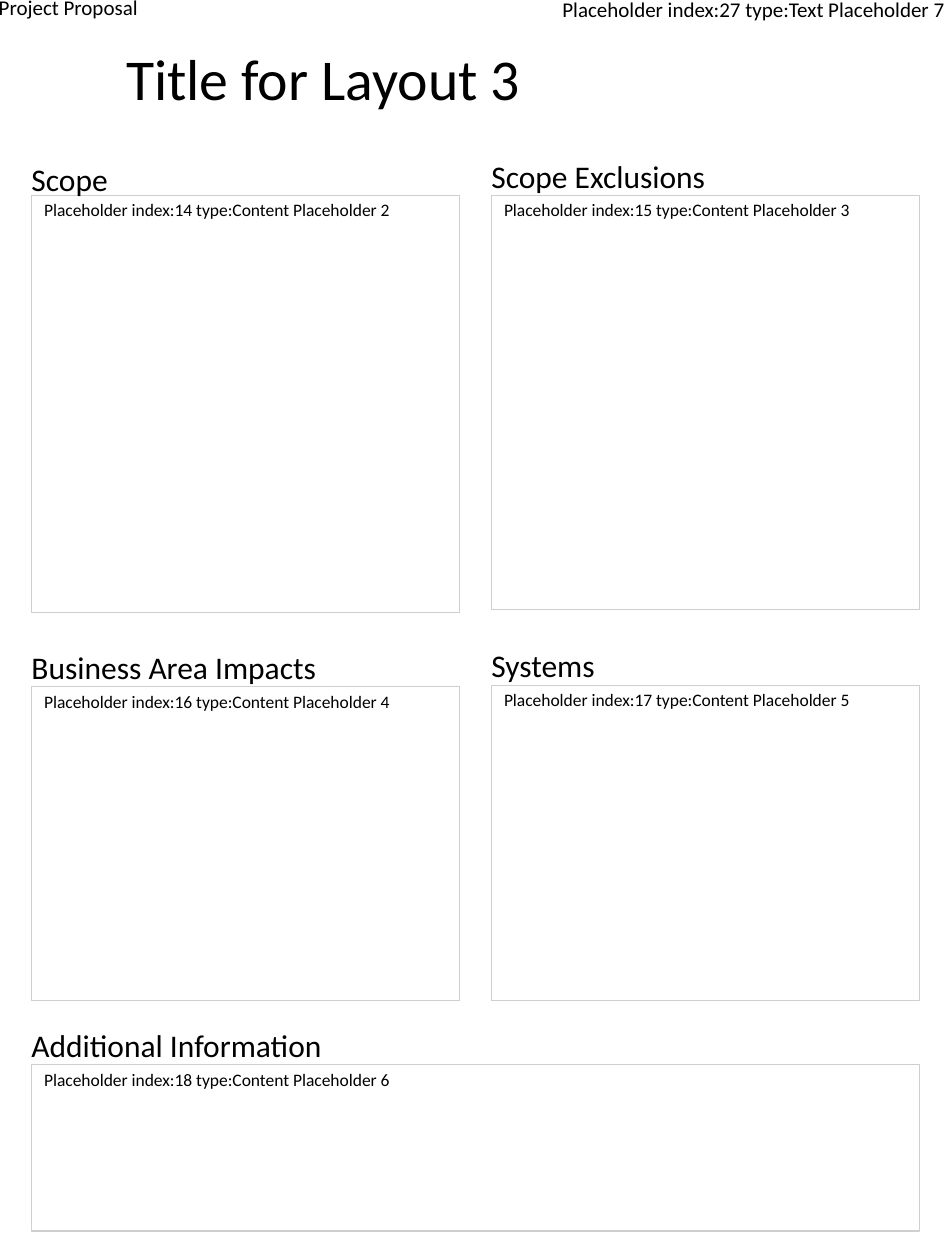
from copy import deepcopy as dup
from pptx import Presentation as Deck
from pptx.dml.color import RGBColor as Rgb
from pptx.enum.text import MSO_ANCHOR as Anc, MSO_AUTO_SIZE as Fit, PP_ALIGN as Al
from pptx.util import Inches as In, Pt

INK = Rgb(0x00, 0x00, 0x00)
EDGE = Rgb(0xD0, 0xCE, 0xCE)
LEFT, STEP, GAP = 0.25, 3.65, 0.25
HEAD = 0.3
PANES = [
    (14, "Scope", 0, 1, 1.27, 1.55, 3.31, True),
    (15, "Scope Exclusions", 1, 1, 1.25, 1.55, 3.29, False),
    (16, "Business Area Impacts", 0, 1, 5.14, 5.45, 2.49, True),
    (17, "Systems", 1, 1, 5.13, 5.44, 2.5, False),
    (18, "Additional Information", 0, 2, 8.14, 8.45, 1.32, True),
]
NOTE = 27


def apply(item, vals):
    for key, val in vals.items():
        setattr(item, key, val)


def place(item, box):
    apply(item, dict(zip(("left", "top", "width", "height"), map(In, box))))


def write(item, text, size, frame=None, para=None, inset=(0, 0, 0, 0)):
    body = item.text_frame
    body.text = text
    sides = ("margin_left", "margin_top", "margin_right", "margin_bottom")
    apply(body, dict(zip(sides, map(In, inset))))
    apply(body, {"word_wrap": True, "auto_size": Fit.NONE,
                 "vertical_anchor": Anc.TOP, **(frame or {})})
    line = body.paragraphs[0]
    apply(line, {"alignment": Al.LEFT, **(para or {})})
    font = line.runs[0].font
    apply(font, {"name": "Calibri", "size": Pt(size)})
    font.color.rgb = INK


def label(slide, box, text, size, frame=None):
    item = slide.shapes.add_textbox(0, 0, 0, 0)
    place(item, box)
    write(item, text, size, frame)


def plain(item):
    props = item.text_frame.paragraphs[0]._p.get_or_add_pPr()
    apply_xml = {"marL": "0", "indent": "0"}
    for key, val in apply_xml.items():
        props.set(key, val)
    props.append(props.makeelement(
        "{http://schemas.openxmlformats.org/drawingml/2006/main}buNone", {}))


def body(item, box, text, size, **kw):
    place(item, box)
    para = {"line_spacing": 0.9, "space_before": Pt(7.5), **kw.pop("para", {})}
    write(item, text, size, para=para, **kw)
    plain(item)


def pane(slide, slot, box, num, text):
    body(slot, box, text, 10, inset=(0.1, 0.05, 0.1, 0.05))
    slot.line.color.rgb = EDGE
    slot.line.width = Pt(0.75)


def header(slide, slot, box):
    left, top, wide, tall = box
    label(slide, (left - 0.01, top - 0.04, 3.4, 0.2), "Project Proposal", 12,
          {"auto_size": Fit.SHAPE_TO_FIT_TEXT})
    place(slide.shapes.title, (left + 1, top + 0.4, wide - 1.25, 0.5))
    write(slide.shapes.title, "Title for Layout 3", 33,
          {"vertical_anchor": Anc.MIDDLE}, {"line_spacing": 0.9})
    body(slot, (left + wide - 3.37, top, 3.37, 0.17),
         f"Placeholder index:{NOTE} type:Text Placeholder 7", 12,
         frame={"vertical_anchor": Anc.MIDDLE}, para={"alignment": Al.RIGHT},
         inset=(0, 0.4, 0, 0.4))


def extend(layout, nums):
    base = layout.placeholders[1]._element
    for num in nums:
        new = dup(base)
        new.xpath(".//p:cNvPr")[0].set("id", str(num + 100))
        new.xpath(".//p:ph")[0].set("idx", str(num))
        base.addprevious(new)
    base.getparent().remove(base)


def main():
    deck = Deck()
    apply(deck, {"slide_width": In(7.5), "slide_height": In(10)})
    layout = deck.slide_layouts[1]
    extend(layout, [row[0] for row in PANES] + [NOTE])
    slide = deck.slides.add_slide(layout)
    slots = {item.placeholder_format.idx: item for item in slide.placeholders}
    header(slide, slots[NOTE], (0, 0, 7.5, 1))
    for rank, (num, text, col, span, top, start, tall, wrap) in enumerate(PANES, 2):
        left = LEFT + STEP * col
        label(slide, (left, top, STEP - GAP, HEAD), text, 18, {"word_wrap": wrap})
        pane(slide, slots[num], (left, start, STEP * span - GAP, tall), num,
             f"Placeholder index:{num} type:Content Placeholder {rank}")
    deck.save("out.pptx")


main()
